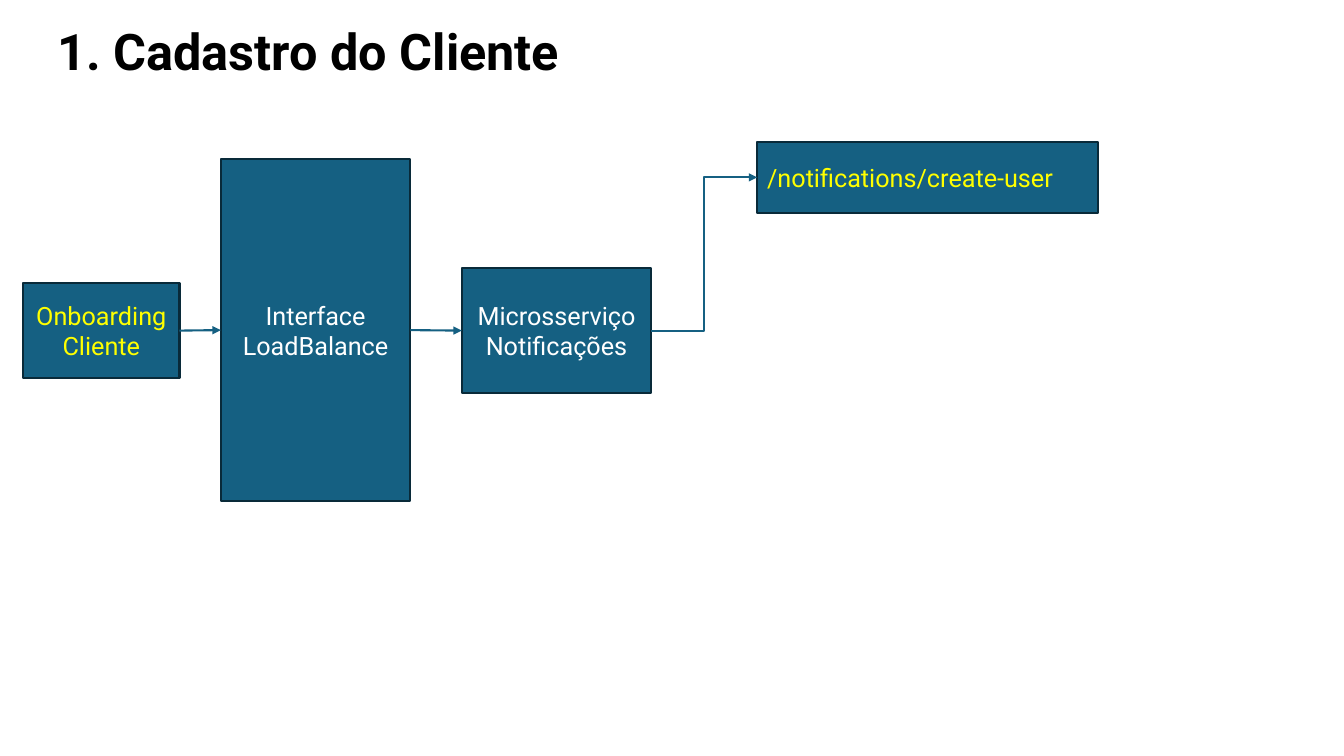
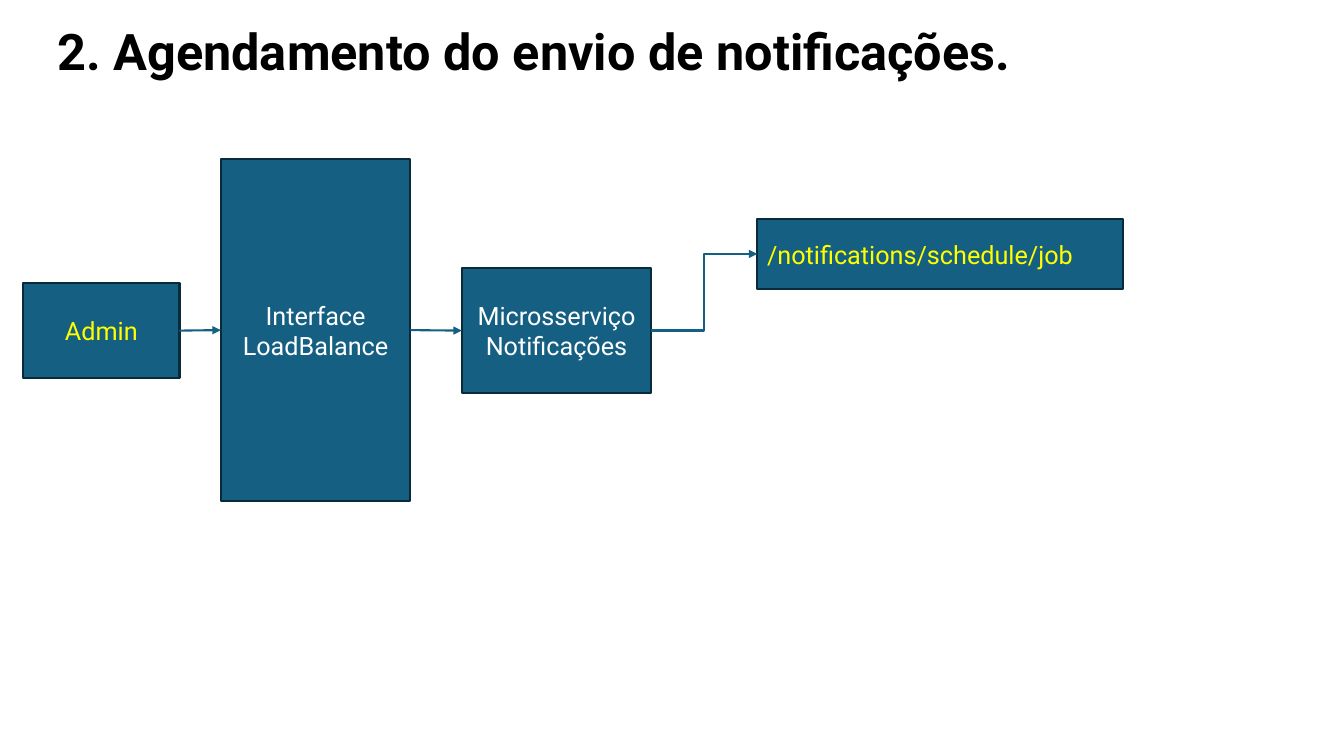
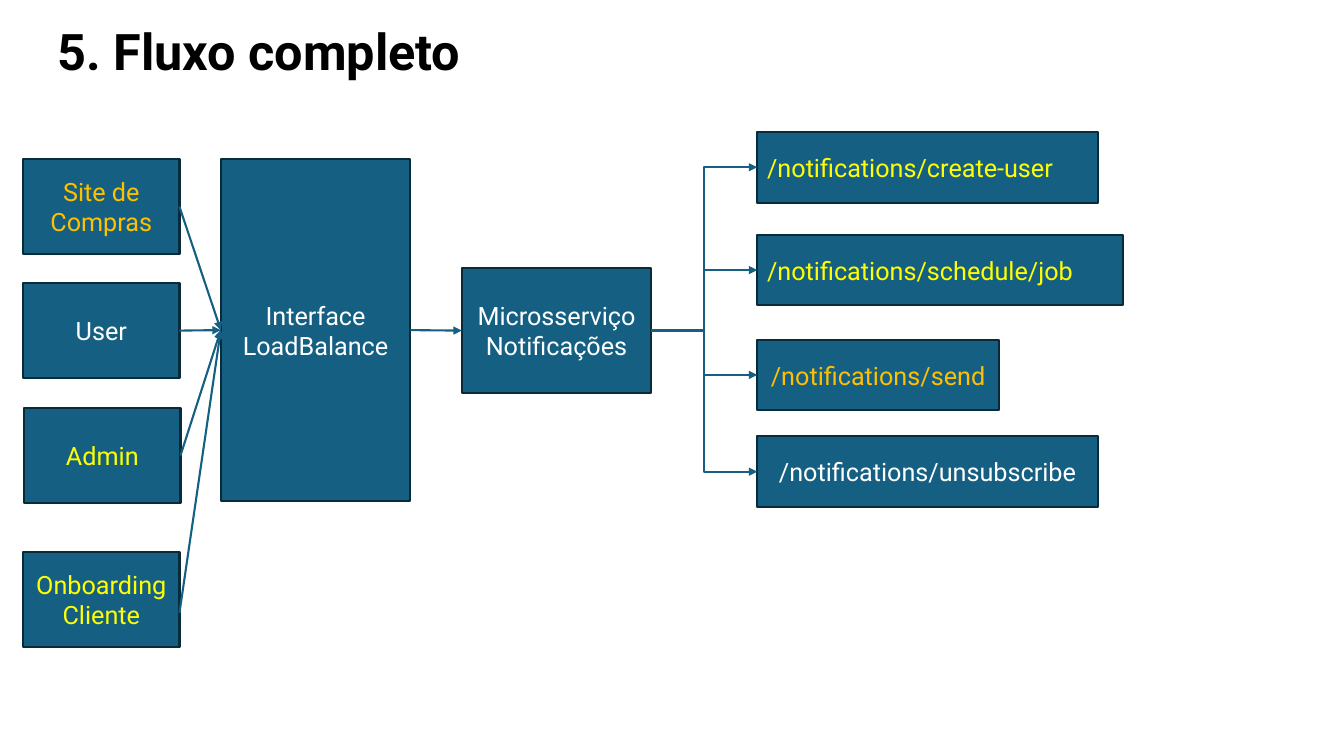
from lxml.etree import SubElement
from pptx import Presentation
from pptx.dml.color import RGBColor
from pptx.enum.shapes import MSO_CONNECTOR as Connector, MSO_SHAPE as Shape
from pptx.enum.text import MSO_ANCHOR as Anchor, MSO_AUTO_SIZE as AutoSize, PP_ALIGN as Align
from pptx.oxml.ns import qn
from pptx.util import Inches, Pt

FONT = "Roboto"
COLORS = {
    "box": "156082",
    "border": "092A39",
    "title": "000000",
    "white": "FFFFFF",
    "yellow": "FFFF00",
    "orange": "FFC000",
}
LINE_WIDTH = Pt(1.5)
LEFT_SITE, RIGHT_SITE = 1, 3

SOURCE_LEFT, SOURCE_SIZE = 0.23, (1.55, 0.94)
ENDPOINT_LEFT, ENDPOINT_HEIGHT = 7.51, 0.7

# Sources: text, colour, top, and optionally left and the height where the arrow leaves.
# Endpoints: text, colour, top, width, alignment.
FLOWS = [
    {
        "title": "1. Cadastro do Cliente",
        "sources": [("Onboarding Cliente", "yellow", 2.81)],
        "endpoints": [("/notifications/create-user", "yellow", 1.41, 3.38, Align.LEFT)],
    },
    {
        "title": "2. Agendamento do envio de notificações.",
        "sources": [("Admin", "yellow", 2.81)],
        "endpoints": [("/notifications/schedule/job", "yellow", 2.17, 3.63, Align.LEFT)],
    },
    {
        "title": "5. Fluxo completo",
        "sources": [
            ("Site de Compras", "orange", 1.58),
            ("User", "white", 2.81),
            ("Admin", "yellow", 4.05, 0.24),
            ("Onboarding Cliente", "yellow", 5.48, SOURCE_LEFT, 6.08),
        ],
        "endpoints": [
            ("/notifications/create-user", "yellow", 1.31, 3.38, Align.LEFT),
            ("/notifications/schedule/job", "yellow", 2.33, 3.63, Align.LEFT),
            ("/notifications/send", "orange", 3.37, 2.4, Align.CENTER),
            ("/notifications/unsubscribe", "white", 4.33, 3.38, Align.CENTER),
        ],
    },
]


def rgb(name):
    return RGBColor.from_string(COLORS[name])


def write(paragraph, text, size, color, bold=False):
    run = paragraph.add_run()
    run.text = text
    run.font.name = FONT
    run.font.size = Pt(size)
    run.font.bold = bold
    run.font.color.rgb = rgb(color)


def add_title(slide, text):
    title = slide.shapes.add_textbox(Inches(0.47), Inches(0.15), Inches(12.26), Inches(0.71))
    frame = title.text_frame
    frame.word_wrap = True
    frame.auto_size = AutoSize.SHAPE_TO_FIT_TEXT
    write(frame.paragraphs[0], text, 36, "title", bold=True)


def add_box(slide, lines, color, left, top, width, height, align=Align.CENTER):
    box = slide.shapes.add_shape(
        Shape.FLOWCHART_PROCESS, Inches(left), Inches(top), Inches(width), Inches(height))
    box.shadow.inherit = False
    box.fill.solid()
    box.fill.fore_color.rgb = rgb("box")
    box.line.color.rgb = rgb("border")
    box.line.width = LINE_WIDTH
    frame = box.text_frame
    frame.word_wrap = True
    frame.vertical_anchor = Anchor.MIDDLE
    for index, line in enumerate(lines):
        paragraph = frame.add_paragraph() if index else frame.paragraphs[0]
        paragraph.alignment = align
        write(paragraph, line, 18, color)
    return box


def add_arrow(slide, origin, target, kind=Connector.STRAIGHT, exit_y=None):
    """Join the right side of origin to the left side of target; exit_y moves the start."""
    arrow = slide.shapes.add_connector(
        kind,
        origin.left + origin.width, origin.top + origin.height // 2,
        target.left, target.top + target.height // 2)
    if exit_y is None:
        arrow.begin_connect(origin, RIGHT_SITE)
    else:
        arrow.begin_y = Inches(exit_y)
    arrow.end_connect(target, LEFT_SITE)
    arrow.line.color.rgb = rgb("box")
    arrow.line.width = LINE_WIDTH
    SubElement(arrow.line._get_or_add_ln(), qn("a:tailEnd"), type="triangle")
    SubElement(arrow._element.spPr, qn("a:effectLst"))


def add_source(slide, balancer, text, color, top, left=SOURCE_LEFT, exit_y=None):
    source = add_box(slide, [text], color, left, top, *SOURCE_SIZE)
    add_arrow(slide, source, balancer, exit_y=exit_y)


def add_endpoint(slide, service, text, color, top, width, align):
    endpoint = add_box(
        slide, [text], color, ENDPOINT_LEFT, top, width, ENDPOINT_HEIGHT, align)
    add_arrow(slide, service, endpoint, Connector.ELBOW)


def add_flow(slide, title, sources, endpoints):
    add_title(slide, title)
    balancer = add_box(slide, ["Interface", "LoadBalance"], "white", 2.19, 1.58, 1.88, 3.39)
    service = add_box(slide, ["Microsserviço Notificações"], "white", 4.58, 2.66, 1.88, 1.24)
    add_arrow(slide, balancer, service)
    for source in sources:
        add_source(slide, balancer, *source)
    for endpoint in endpoints:
        add_endpoint(slide, service, *endpoint)


def main():
    deck = Presentation()
    deck.slide_width, deck.slide_height = Inches(13.33), Inches(7.5)
    blank = deck.slide_layouts[6]
    for flow in FLOWS:
        add_flow(deck.slides.add_slide(blank), **flow)
    deck.save("out.pptx")


if __name__ == "__main__":
    main()
